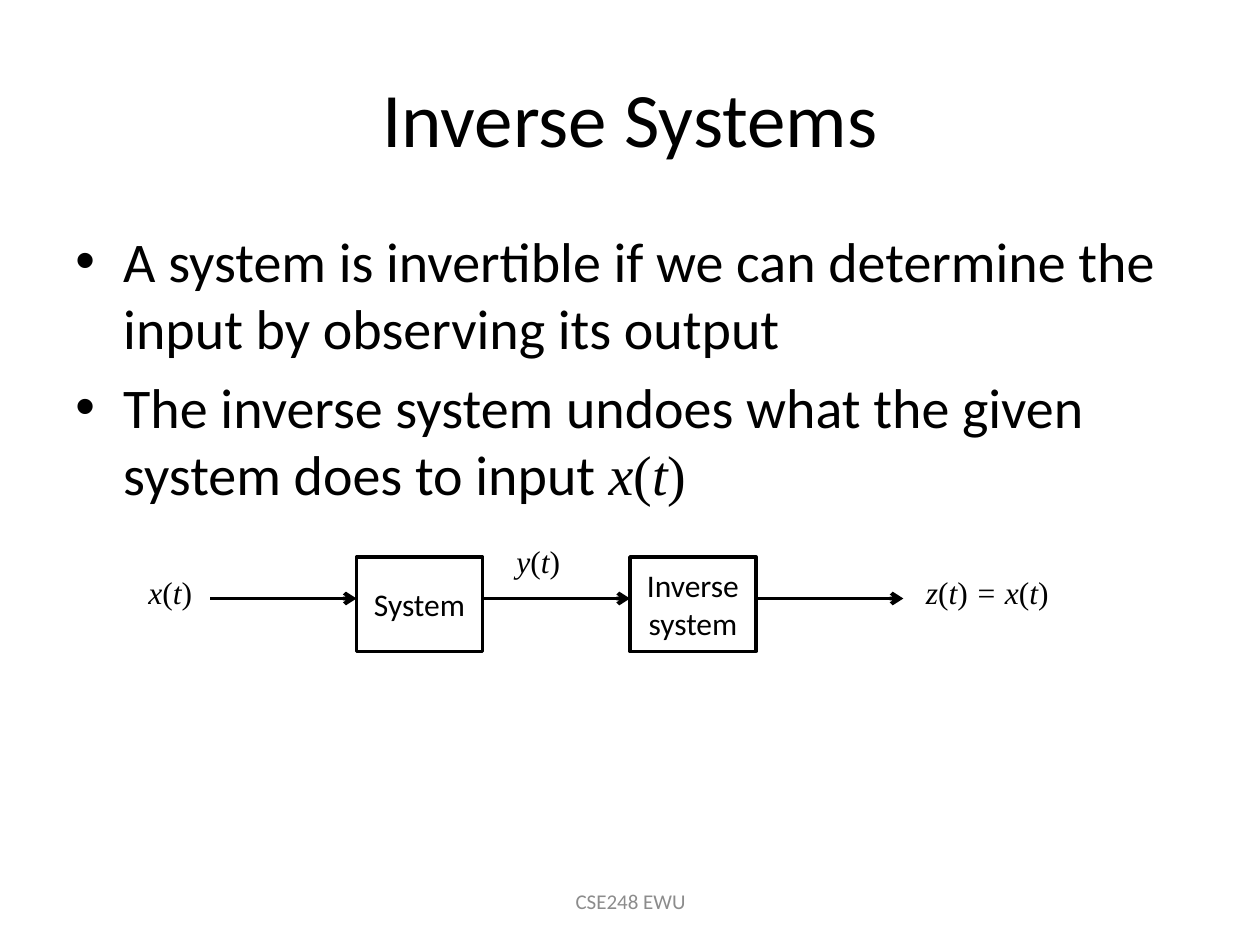
from dataclasses import dataclass

from lxml.etree import SubElement
from pptx import Presentation
from pptx.dml.color import RGBColor
from pptx.enum.shapes import MSO_CONNECTOR, MSO_SHAPE
from pptx.enum.text import MSO_ANCHOR, PP_ALIGN
from pptx.oxml.ns import qn
from pptx.util import Inches, Pt


@dataclass(frozen=True)
class Theme:
    ink: RGBColor = RGBColor(0x00, 0x00, 0x00)
    muted: RGBColor = RGBColor(0x8C, 0x8C, 0x8C)
    text_font: str = "Calibri"
    math_font: str = "Times New Roman"
    title_size: int = 44
    body_size: int = 32
    diagram_size: int = 18
    footer_size: int = 12
    box_line: float = 2
    arrow_line: float = 2.25


THEME = Theme()
BLOCK_TOP, BLOCK_WIDTH, BLOCK_HEIGHT = 4.42, 1, 0.75
SIGNAL_Y = 4.75


def signal(name):
    """Runs of a function of time: letters italic, parentheses upright."""
    return [(name, True), ("(", False), ("t", True), (")", False)]


def add_run(paragraph, text, size, color=THEME.ink, font=THEME.text_font, italic=False):
    run = paragraph.add_run()
    run.text = text
    run.font.name = font
    run.font.size = Pt(size)
    run.font.color.rgb = color
    run.font.italic = italic


def add_math(paragraph, pieces, size):
    for text, italic in pieces:
        add_run(paragraph, text, size, font=THEME.math_font, italic=italic)


def add_text_frame(slide, left, top, width, height, wrap=True):
    box = slide.shapes.add_textbox(Inches(left), Inches(top), Inches(width), Inches(height))
    box.text_frame.word_wrap = wrap
    return box.text_frame


def add_centred_line(slide, text, bounds, size, color=THEME.ink):
    frame = add_text_frame(slide, *bounds)
    frame.vertical_anchor = MSO_ANCHOR.MIDDLE
    paragraph = frame.paragraphs[0]
    paragraph.alignment = PP_ALIGN.CENTER
    add_run(paragraph, text, size, color)


def set_bullet(paragraph):
    properties = paragraph._p.get_or_add_pPr()
    properties.set("marL", str(Inches(0.38)))
    properties.set("indent", str(Inches(-0.38)))
    SubElement(properties, qn("a:buFont"), typeface="Arial")
    SubElement(properties, qn("a:buChar"), char="•")


def add_bullets(slide, bullets):
    frame = add_text_frame(slide, 0.5, 1.75, 9, 4.95)
    for index, (text, math) in enumerate(bullets):
        paragraph = frame.add_paragraph() if index else frame.paragraphs[0]
        set_bullet(paragraph)
        if index:
            paragraph.space_before = Pt(0.2 * THEME.body_size)
        add_run(paragraph, text, THEME.body_size)
        add_math(paragraph, math, THEME.body_size)


def add_block(slide, label, left):
    block = slide.shapes.add_shape(
        MSO_SHAPE.RECTANGLE, Inches(left), Inches(BLOCK_TOP),
        Inches(BLOCK_WIDTH), Inches(BLOCK_HEIGHT))
    block.shadow.inherit = False
    block.fill.background()
    block.line.color.rgb = THEME.ink
    block.line.width = Pt(THEME.box_line)
    frame = block.text_frame
    frame.word_wrap = True
    frame.vertical_anchor = MSO_ANCHOR.MIDDLE
    paragraph = frame.paragraphs[0]
    paragraph.alignment = PP_ALIGN.CENTER
    add_run(paragraph, label, THEME.diagram_size)


def add_arrow(slide, start, end):
    arrow = slide.shapes.add_connector(
        MSO_CONNECTOR.STRAIGHT, Inches(start), Inches(SIGNAL_Y), Inches(end), Inches(SIGNAL_Y))
    arrow.line.color.rgb = THEME.ink
    arrow.line.width = Pt(THEME.arrow_line)
    SubElement(arrow.line._get_or_add_ln(), qn("a:tailEnd"), type="arrow")
    SubElement(arrow._element.spPr, qn("a:effectLst"))


def add_signal_label(slide, pieces, left, top, width):
    frame = add_text_frame(slide, left, top, width, 0.4, wrap=False)
    add_math(frame.paragraphs[0], pieces, THEME.diagram_size)


def add_diagram(slide):
    system_left, inverse_left = 2.83, 5
    add_block(slide, "System", system_left)
    add_block(slide, "Inverse system", inverse_left)
    for start, end in [(1.67, system_left),
                       (system_left + BLOCK_WIDTH, inverse_left),
                       (inverse_left + BLOCK_WIDTH, 7.17)]:
        add_arrow(slide, start, end)
    add_signal_label(slide, signal("x"), 1.08, 4.5, 0.55)
    add_signal_label(slide, signal("y"), 4, 4.25, 0.55)
    add_signal_label(slide, signal("z") + signal(" = x"), 7.25, 4.5, 1.19)


def main():
    presentation = Presentation()
    presentation.slide_width, presentation.slide_height = Inches(10), Inches(7.5)
    slide = presentation.slides.add_slide(presentation.slide_layouts[6])
    add_centred_line(slide, "Inverse Systems", (0.5, 0.3, 9, 1.25), THEME.title_size)
    add_bullets(slide, [
        ("A system is invertible if we can determine the input by observing its output", []),
        ("The inverse system undoes what the given system does to input ", signal("x")),
    ])
    add_centred_line(slide, "CSE248 EWU", (3.42, 6.95, 3.17, 0.4),
                     THEME.footer_size, THEME.muted)
    add_diagram(slide)
    presentation.save("out.pptx")


if __name__ == "__main__":
    main()
